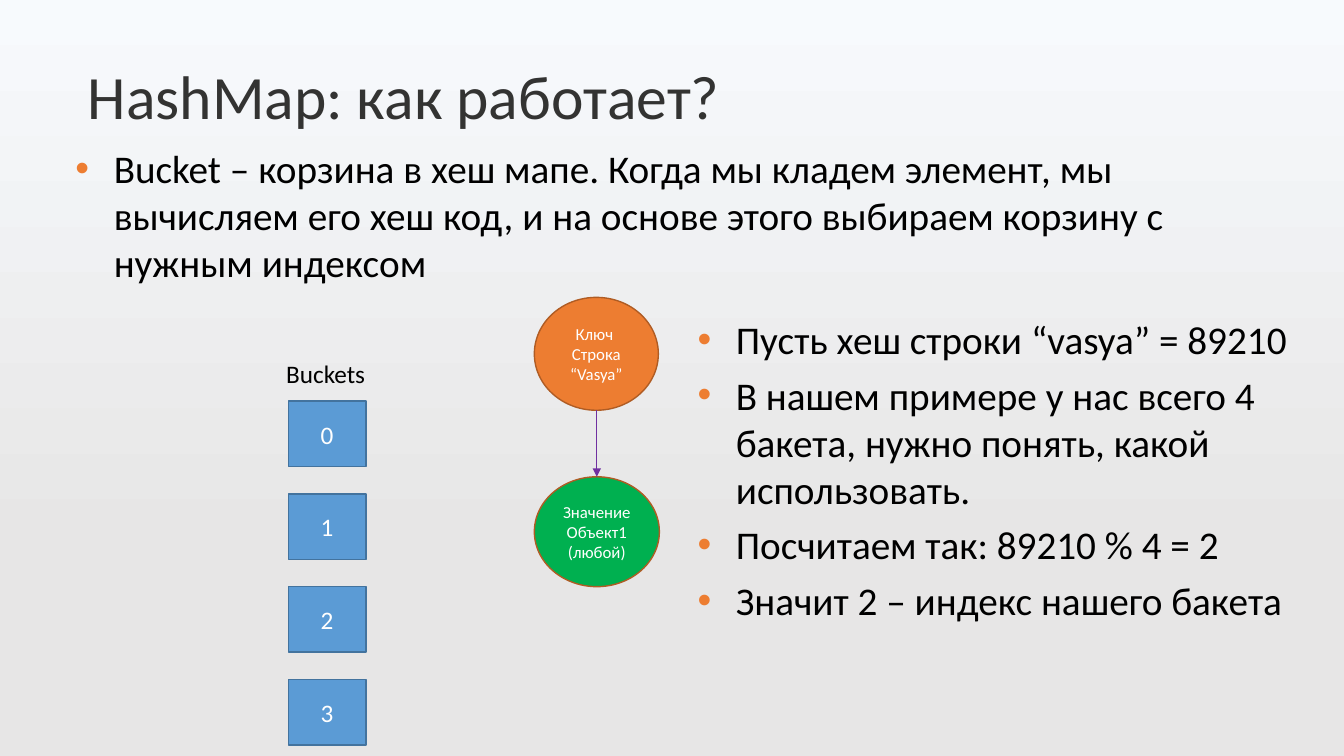
"""Build the slide on how a HashMap picks a bucket."""
import dataclasses

import lxml.etree
import pptx
import pptx.dml.color
import pptx.enum.shapes
import pptx.enum.text
import pptx.oxml.ns
import pptx.util

PX = 9144
SHAPE = pptx.enum.shapes.MSO_SHAPE
ALIGN = pptx.enum.text.PP_ALIGN
ANCHOR = pptx.enum.text.MSO_ANCHOR


@dataclasses.dataclass(frozen=True)
class Theme:
    """Hold the font, colours and type sizes."""
    font: str = "Calibri"
    sky: str = "F7FAFD"
    grey: str = "E7E6E6"
    title: str = "333332"
    ink: str = "000000"
    white: str = "FFFFFF"
    blue: str = "5B9BD5"
    navy: str = "43739E"
    orange: str = "ED7D31"
    rust: str = "AF5C24"
    green: str = "00B050"
    purple: str = "7030A0"
    head: int = 44
    body: int = 28
    label: int = 18
    small: int = 12


THEME = Theme()


def px(*sizes):
    """Turn px lengths into EMU."""
    return [pptx.util.Emu(size * PX) for size in sizes]


def rgb(code):
    """Make a colour from its hex code."""
    return pptx.dml.color.RGBColor.from_string(code)


def add_node(parent, tag, **attrs):
    """Append an XML child node."""
    return lxml.etree.SubElement(parent, pptx.oxml.ns.qn(tag), attrs)


def add_lines(frame, lines, size, color, align=ALIGN.LEFT):
    """Write each line as a paragraph with one run."""
    frame.word_wrap = True
    for index, line in enumerate(lines):
        para = frame.add_paragraph() if index else frame.paragraphs[0]
        para.alignment = align
        run = para.add_run()
        run.text = line
        run.font.name = THEME.font
        run.font.size = pptx.util.Pt(size)
        run.font.color.rgb = rgb(color)


def add_text(slide, box, lines, size, color=THEME.ink):
    """Add a text box and return its frame."""
    frame = slide.shapes.add_textbox(*px(*box)).text_frame
    add_lines(frame, lines, size, color)
    return frame


def add_title(slide, box, text):
    """Add the title with no insets."""
    frame = add_text(slide, box, [text], THEME.head, THEME.title)
    frame.margin_left = frame.margin_right = 0
    frame.margin_top = frame.margin_bottom = 0
    frame.paragraphs[0].line_spacing = 0.9


def add_list(slide, box, lines):
    """Add a list with orange bullets."""
    indent, = px(38)
    for para in add_text(slide, box, lines, THEME.body).paragraphs:
        para.space_after = pptx.util.Pt(6)
        props = para._p.get_or_add_pPr()
        props.set("marL", str(indent))
        props.set("indent", str(-indent))
        add_node(add_node(props, "a:buClr"), "a:srgbClr", val=THEME.orange)
        add_node(props, "a:buFont", typeface="Arial")
        add_node(props, "a:buChar", char="•")


def add_block(slide, kind, box, lines, size, fill, edge):
    """Add a filled shape with centred text."""
    shape = slide.shapes.add_shape(kind, *px(*box))
    shape.shadow.inherit = False
    shape.fill.solid()
    shape.fill.fore_color.rgb = rgb(fill)
    shape.line.color.rgb = rgb(edge)
    shape.line.width = pptx.util.Pt(1)
    shape.text_frame.vertical_anchor = ANCHOR.MIDDLE
    add_lines(shape.text_frame, lines, size, THEME.white, ALIGN.CENTER)


def add_arrow(slide, ends, color):
    """Add a thin arrow between two points."""
    kind = pptx.enum.shapes.MSO_CONNECTOR.STRAIGHT
    arrow = slide.shapes.add_connector(kind, *px(*ends))
    arrow.line.color.rgb = rgb(color)
    arrow.line.width = pptx.util.Pt(0.5)
    add_node(arrow.line._get_or_add_ln(), "a:tailEnd", type="triangle")
    add_node(arrow._element.spPr, "a:effectLst")


def paint_back(slide):
    """Shade the background from top to bottom."""
    fill = slide.background.fill
    fill.gradient()
    fill.gradient_angle = 270
    shades = [(0, THEME.sky), (0.72, THEME.grey)]
    for stop, (place, color) in zip(fill.gradient_stops, shades):
        stop.position = place
        stop.color.rgb = rgb(color)


def main():
    """Build and save the slide."""
    deck = pptx.Presentation()
    deck.slide_width, deck.slide_height = px(1333, 750)
    slide = deck.slides.add_slide(deck.slide_layouts[6])
    paint_back(slide)
    add_title(slide, (87, 66, 959, 59), "HashMap: как работает?")
    add_list(slide, (65, 138, 1158, 151), [
        "Bucket – корзина в хеш мапе. Когда мы кладем элемент, мы вычисляем "
        "его хеш код, и на основе этого выбираем корзину с нужным индексом",
    ])
    add_text(slide, (274, 351, 115, 40), ["Buckets"], THEME.label)
    for index in range(4):
        add_block(slide, SHAPE.RECTANGLE, (286, 398 + 92 * index, 77, 65),
                  [str(index)], THEME.label, THEME.blue, THEME.navy)
    add_block(slide, SHAPE.OVAL, (530, 295, 123, 112),
              ["Ключ ", "Строка “Vasya”"],
              THEME.small, THEME.orange, THEME.rust)
    add_block(slide, SHAPE.OVAL, (530, 473, 124, 109),
              ["Значение ", "Объект1", "(любой)"],
              THEME.small, THEME.green, THEME.rust)
    add_arrow(slide, (592, 407, 592, 473), THEME.purple)
    add_list(slide, (682, 308, 624, 318), [
        "Пусть хеш строки “vasya” = 89210",
        "В нашем примере у нас всего 4 бакета, нужно понять, "
        "какой использовать.",
        "Посчитаем так: 89210 % 4 = 2",
        "Значит 2 – индекс нашего бакета",
    ])
    deck.save("out.pptx")


if __name__ == "__main__":
    main()
